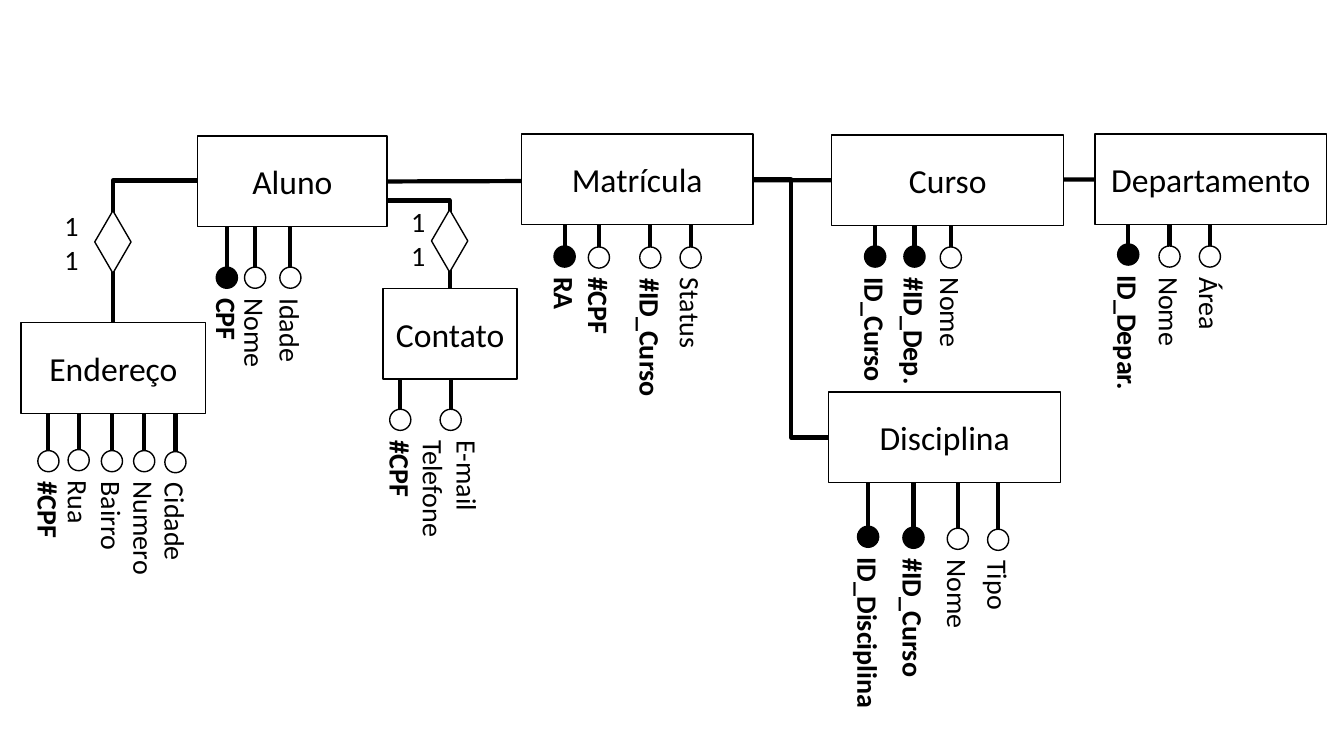
from lxml import etree
from pptx import Presentation
from pptx.dml.color import RGBColor
from pptx.enum import shapes, text
from pptx.oxml.ns import qn
from pptx.util import Inches, Pt

BLACK, WHITE = "000000", "FFFFFF"
RING, STEM = 0.21, 0.54


def paint(shape, fill=None, width=1):
    """Black outline, and a fill for closed shapes."""
    shape.line.color.rgb = RGBColor.from_string(BLACK)
    shape.line.width = Pt(width)
    if fill:
        shape.shadow.inherit = False
        shape.fill.solid()
        shape.fill.fore_color.rgb = RGBColor.from_string(fill)
    else:
        etree.SubElement(shape._element.spPr, qn("a:effectLst"))
    return shape


def write(shape, words, size, bold=False, centred=False):
    frame = shape.text_frame
    frame.word_wrap = True
    frame.text = words
    if centred:
        frame.vertical_anchor = text.MSO_ANCHOR.MIDDLE
    else:
        frame.auto_size = text.MSO_AUTO_SIZE.SHAPE_TO_FIT_TEXT
    for paragraph in frame.paragraphs:
        paragraph.alignment = text.PP_ALIGN.CENTER if centred else text.PP_ALIGN.LEFT
        font = paragraph.runs[0].font
        for key, value in {"name": "Calibri", "size": Pt(size), "bold": bold}.items():
            setattr(font, key, value)
        font.color.rgb = RGBColor.from_string(BLACK)


deck = Presentation()
deck.slide_width, deck.slide_height = Inches(13.33), Inches(7.5)
canvas = deck.slides.add_slide(deck.slide_layouts[6]).shapes

# Entity: box (left, top, width), then attributes
# (centre x, ring top, label, label length, bold, ring fill)
entities = {
    "Disciplina": ((8.22, 3.89, 2.3), [
        (8.61, 5.22, "ID_Disciplina", 1.83, True, BLACK),
        (9.06, 5.23, "#ID_Curso", 2.07, True, BLACK),
        (9.5, 5.24, "Nome", 1.07, False, WHITE),
        (9.9, 5.25, "Tipo", 1.07, False, WHITE)]),
    "Contato": ((3.8, 2.86, 1.33), [
        (3.97, 4.06, "#CPF", 1.07, True, WHITE),
        (4.47, 4.06, "E-mail\nTelefone", 1.99, False, WHITE)]),
    "Aluno": ((1.96, 1.35, 1.88), [
        (2.25, 2.65, "CPF", 1.07, True, BLACK),
        (2.53, 2.65, "Nome", 1.07, False, WHITE),
        (2.88, 2.65, "Idade", 1.07, False, WHITE)]),
    "Endereço": ((0.21, 3.2, 1.83), [
        (0.48, 4.47, "#CPF", 1.07, True, WHITE),
        (0.78, 4.46, "Rua", 1.19, False, WHITE),
        (1.11, 4.47, "Bairro", 1.07, False, WHITE),
        (1.43, 4.47, "Numero", 1.19, False, WHITE),
        (1.74, 4.48, "Cidade", 1.07, False, WHITE)]),
    "Departamento": ((10.86, 1.33, 2.3), [
        (11.19, 2.42, "ID_Depar.", 2.38, True, BLACK),
        (11.6, 2.44, "Nome", 1.07, False, WHITE),
        (12, 2.44, "Área", 1.07, False, WHITE)]),
    "Curso": ((8.25, 1.34, 2.3), [
        (8.68, 2.44, "ID_Curso", 1.31, True, BLACK),
        (9.07, 2.44, "#ID_Dep.", 1.31, True, BLACK),
        (9.43, 2.45, "Nome", 1.07, False, WHITE)]),
    "Matrícula": ((5.17, 1.33, 2.3), [
        (5.6, 2.44, "RA", 1.07, True, BLACK),
        (5.94, 2.45, "#CPF", 1.07, True, WHITE),
        (6.45, 2.45, "#ID_Curso", 1.45, True, WHITE),
        (6.85, 2.45, "Status", 1.07, False, WHITE)]),
}

# Main line, behind the boxes it passes
main_line = paint(canvas.add_connector(
    shapes.MSO_CONNECTOR.STRAIGHT, Inches(3.84), Inches(1.8), Inches(10.86), Inches(1.78)), width=3)

# Elbow links: Aluno-Endereço, Aluno-Contato, Matrícula-Disciplina
for ends, preset in [((1.96, 1.79, 1.12, 3.2), "bentConnector2"),
                     ((3.84, 1.99, 4.46, 2.86), "bentConnector2"),
                     ((7.47, 1.78, 8.22, 4.34), "bentConnector3")]:
    elbow = paint(canvas.add_connector(shapes.MSO_CONNECTOR.ELBOW, *map(Inches, ends)), width=3)
    elbow._element.spPr.find(qn("a:prstGeom")).set("prst", preset)

# Relationship diamonds with their cardinalities
for centre_x, centre_y, ones_left, ones_top in [(1.12, 2.4, 0.54, 2.02), (4.46, 2.39, 3.98, 1.98)]:
    paint(canvas.add_shape(shapes.MSO_SHAPE.DIAMOND, Inches(centre_x - 0.18), Inches(centre_y - 0.31),
                           Inches(0.36), Inches(0.62)), WHITE)
    ones = canvas.add_textbox(Inches(ones_left), Inches(ones_top), Inches(0.4), Inches(0.77))
    write(ones, "1\n1", 20)

# Entities with attributes hanging below
boxes = {}
for entity, ((left, top, width), attributes) in entities.items():
    for x, ring_top, label, length, bold, fill in attributes:
        paint(canvas.add_shape(shapes.MSO_SHAPE.OVAL, Inches(x - RING / 2), Inches(ring_top),
                               Inches(RING), Inches(RING)), fill)
        paint(canvas.add_connector(shapes.MSO_CONNECTOR.STRAIGHT, Inches(x), Inches(ring_top),
                                   Inches(x), Inches(ring_top - STEM)), width=3)
        # The label is turned about its centre so that it starts under the ring
        height = 0.77 if "\n" in label else 0.44
        middle = ring_top + RING + length / 2
        caption = canvas.add_textbox(Inches(x - length / 2), Inches(middle - height / 2),
                                     Inches(length), Inches(height))
        caption.rotation = 90
        write(caption, label, 20, bold)
    box = canvas.add_shape(shapes.MSO_SHAPE.RECTANGLE, Inches(left), Inches(top), Inches(width), Inches(0.9))
    write(paint(box, WHITE), entity, 24, centred=True)
    boxes[entity] = box

main_line.begin_connect(boxes["Aluno"], 3)
main_line.end_connect(boxes["Departamento"], 1)

deck.save("out.pptx")
